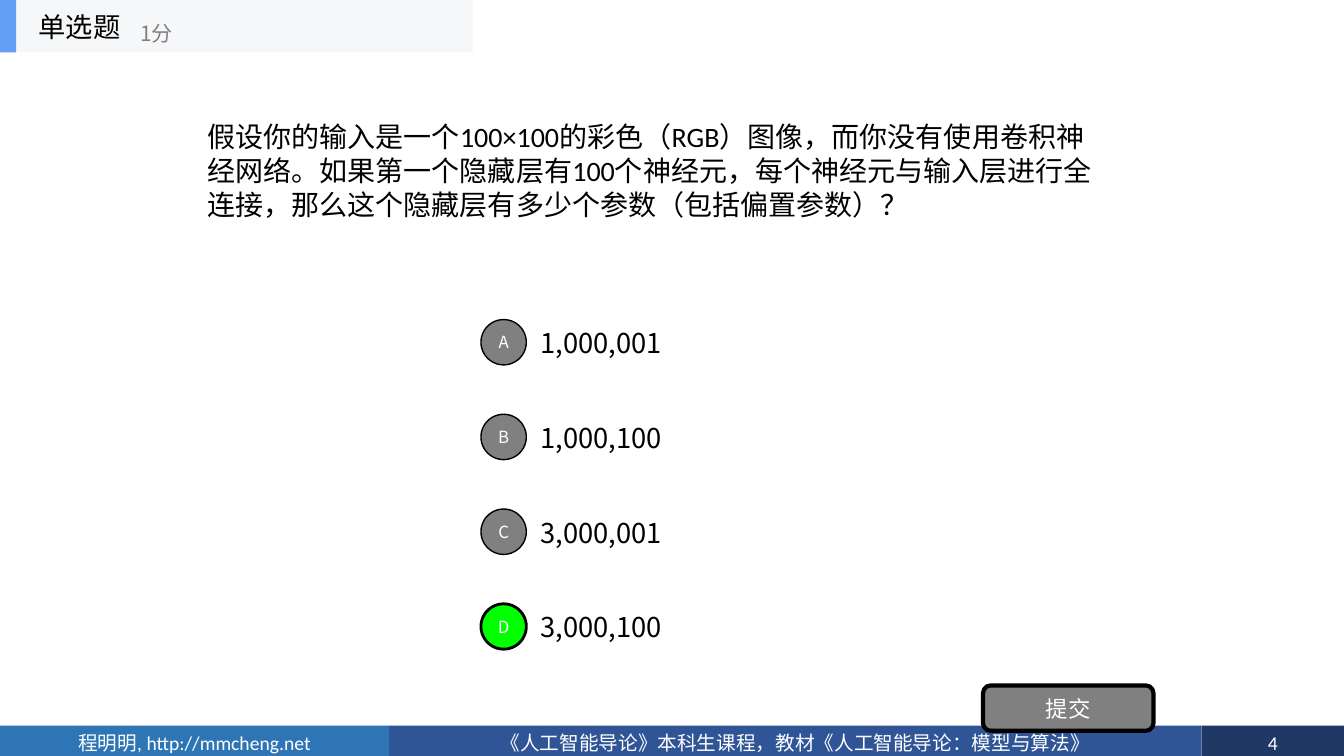
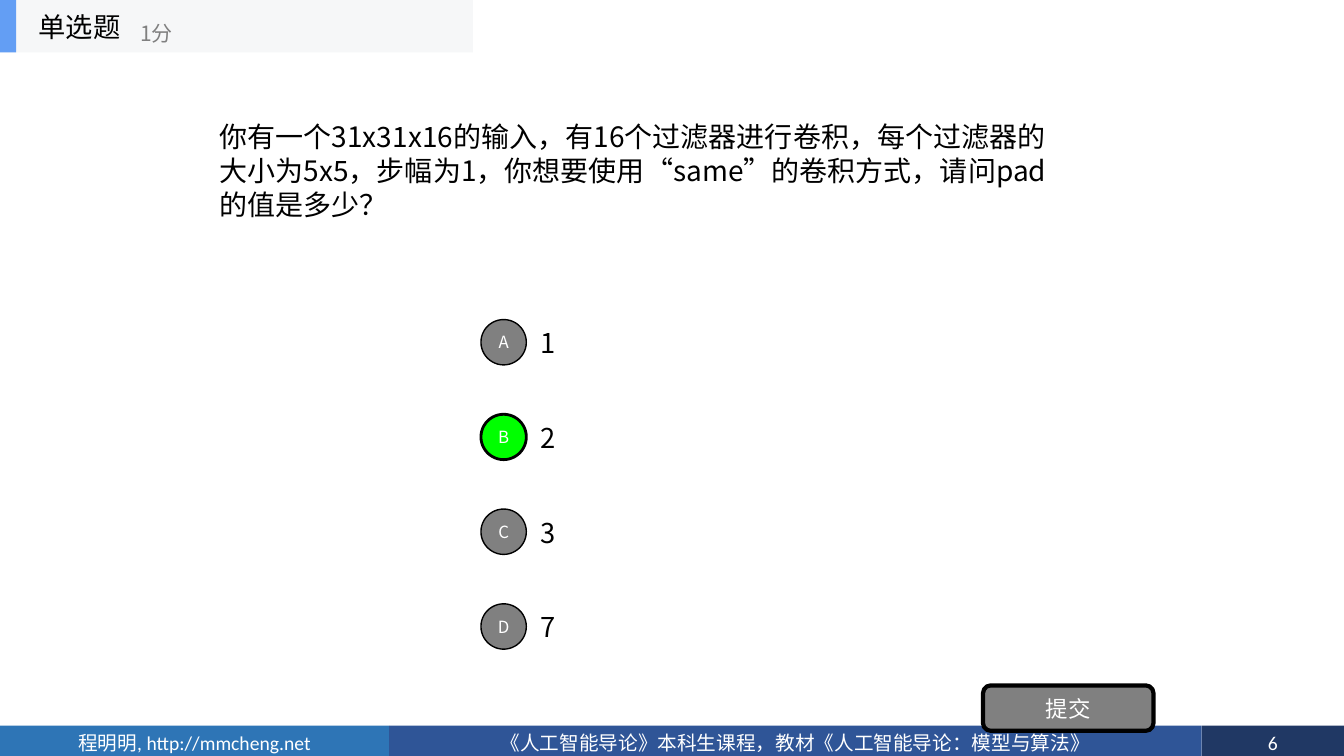
from lxml import etree
from pptx import Presentation
from pptx.dml.color import RGBColor
from pptx.enum import shapes, text
from pptx.oxml.ns import qn
from pptx.util import Inches, Pt

COLORS = {
    "black": "000000", "white": "FFFFFF", "gray": "808080", "right": "00FF00",
    "band": "F6F7F8", "accent": "639EF4",
    "author": "2E75B6", "course": "2F5597", "number": "203864",
}
SANS, LATIN = "Noto Sans CJK SC", "Calibri"
SHAPE = shapes.MSO_SHAPE
CENTER = text.PP_ALIGN.CENTER
QUIZ = [
    dict(number=4, font=LATIN, box=(1.96, 0.52, 9.1, 2.34), right=3,
         ask="假设你的输入是一个100×100的彩色（RGB）图像，而你没有使用卷积神经网络。"
             "如果第一个隐藏层有100个神经元，每个神经元与输入层进行全连接，"
             "那么这个隐藏层有多少个参数（包括偏置参数）？",
         answers=["1,000,001", "1,000,100", "3,000,001", "3,000,100"]),
    dict(number=6, font=SANS, box=(2.08, 0.52, 8.53, 2.34), right=1,
         ask="你有一个31x31x16的输入，有16个过滤器进行卷积，每个过滤器的大小为5x5，"
             "步幅为1，你想要使用“same”的卷积方式，请问pad的值是多少？",
         answers=["1", "2", "3", "7"]),
]


def color(name):
    return RGBColor.from_string(COLORS[name])


def write(shape, words, size, ink="black", font=SANS, align=text.PP_ALIGN.LEFT, wrap=True):
    frame = shape.text_frame
    frame.text = words
    frame.word_wrap = wrap
    frame.auto_size = text.MSO_AUTO_SIZE.NONE
    frame.vertical_anchor = text.MSO_ANCHOR.MIDDLE
    para = frame.paragraphs[0]
    para.alignment = align
    para.font.size = Pt(size)
    para.font.color.rgb = color(ink)
    para.font.name = font
    props = para._p.pPr.find(qn("a:defRPr"))
    etree.SubElement(props, qn("a:ea")).set("typeface", SANS)


def label(slide, box, words, size, **style):
    shape = slide.shapes.add_textbox(*map(Inches, box))
    write(shape, words, size, **style)


def block(slide, kind, box, fill, line=0):
    shape = slide.shapes.add_shape(kind, *map(Inches, box))
    shape.shadow.inherit = False
    shape.fill.solid()
    shape.fill.fore_color.rgb = color(fill)
    if line:
        shape.line.color.rgb = color("black")
        shape.line.width = Pt(line)
    else:
        shape.line.fill.background()
    return shape


def header(slide, box):
    left, top, width, height = box
    block(slide, SHAPE.RECTANGLE, box, "band")
    block(slide, SHAPE.RECTANGLE, (left, top, 0.16, height), "accent")
    title = slide.shapes.title
    title.left, title.top = Inches(left + 0.28), Inches(top)
    title.width, title.height = Inches(1.56), Inches(height)
    write(title, "单选题", 19.5, wrap=False)
    slide.shapes._spTree.append(title._element)  # in front of the band
    label(slide, (left + 1.29, top + 0.12, 1.88, 0.42), "1分", 15, ink="gray", wrap=False)


def footer(slide, box, number):
    left, top, _, height = box
    parts = [
        (3.86, "author", "程明明, http://mmcheng.net"),
        (8.06, "course", "《人工智能导论》本科生课程，教材《人工智能导论：模型与算法》"),
        (1.41, "number", str(number)),
    ]
    for width, fill, words in parts:
        part = block(slide, SHAPE.RECTANGLE, (left, top, width, height), fill)
        write(part, words, 14, "white", LATIN, CENTER)
        left += width


def options(slide, box, answers, right):
    left, top, width, height = box
    step = height / len(answers)
    for i, answer in enumerate(answers):
        y = top + i * step
        hit = i == right
        dot = block(slide, SHAPE.OVAL, (left, y + 0.12, 0.45, 0.45),
                    "right" if hit else "gray", 2 if hit else 1)
        dot.text_frame.margin_left = dot.text_frame.margin_right = 0
        write(dot, "ABCD"[i], 12, "white", align=CENTER)
        label(slide, (left + 0.49, y, width - 0.49, 0.7), answer, 19.5)


def submit(slide, box):
    button = block(slide, SHAPE.ROUNDED_RECTANGLE, box, "gray", 3)
    write(button, "提交", 16, "white", align=CENTER)


def question(deck, number, font, box, right, ask, answers):
    slide = deck.slides.add_slide(deck.slide_layouts[5])
    footer(slide, (0, 7.2, 13.33, 0.34), number)
    label(slide, box, ask, 20, font=font)
    options(slide, (4.77, 3.05, 3.77, 3.76), answers, right)
    submit(slide, (9.75, 6.8, 1.69, 0.45))
    header(slide, (0, 0, 4.69, 0.52))


def main():
    deck = Presentation()
    deck.slide_width, deck.slide_height = Inches(13.33), Inches(7.5)
    for item in QUIZ:
        question(deck, **item)
    deck.save("out.pptx")


if __name__ == "__main__":
    main()
